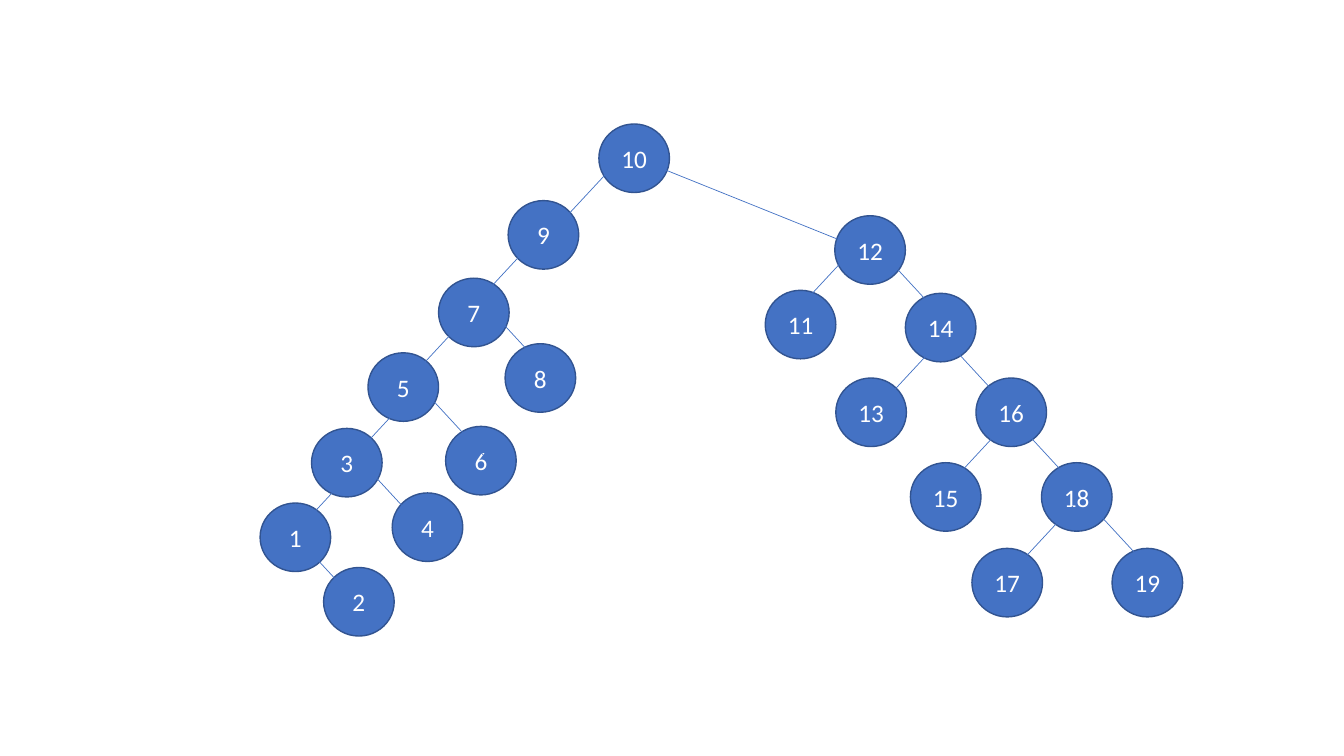
from pptx import Presentation
from pptx.dml.color import RGBColor as RGB
from pptx.enum.shapes import MSO_CONNECTOR as LINK, MSO_SHAPE as SHAPE
from pptx.enum.text import MSO_ANCHOR as ANCHOR, PP_ALIGN as ALIGN
from pptx.util import Inches, Pt
from lxml.etree import SubElement
from pptx.oxml.ns import qn

COLORS = {"node": "4472C4", "rim": "325491", "text": "FFFFFF"}
FONT = {"name": "Calibri", "size": Pt(18)}
FRAME = {"word_wrap": True, "vertical_anchor": ANCHOR.MIDDLE}
WIDE, HIGH = 0.7, 0.68
LEFT, RIGHT = (-0.52, 0.56), (0.48, 0.52)

NODES = {
    1: (2.58, 4.99), 2: (3.21, 5.63), 3: (3.09, 4.25), 4: (3.89, 4.89),
    5: (3.65, 3.5), 6: (4.42, 4.23), 7: (4.35, 2.76), 8: (5.01, 3.41),
    9: (5.04, 1.99), 10: (5.94, 1.23), 11: (7.59, 2.88), 12: (8.28, 2.14),
    13: (8.29, 3.75), 14: (8.98, 2.91), 15: (9.03, 4.59), 16: (9.68, 3.75),
    17: (9.64, 5.44), 18: (10.33, 4.59), 19: (11.03, 5.44),
}
EDGES = {
    LEFT: [(6.08, 1.65), (5.34, 2.34), (4.57, 3.21), (4.01, 3.99), (3.48, 4.69),
           (8.41, 2.53), (9.25, 3.46), (9.94, 4.24), (10.64, 5.02)],
    RIGHT: [(4.96, 3.18), (4.31, 3.99), (3.64, 4.64), (2.98, 5.37),
            (8.79, 2.55), (9.49, 3.49), (10.14, 4.25), (10.9, 5.1)],
    (1.74, 0.7): [(6.56, 1.67)],
}


def apply(item, values):
    for key, value in values.items():
        setattr(item, key, value)


def paint(line, color, width):
    line.color.rgb = RGB.from_string(COLORS[color])
    line.width = Pt(width)


def add_node(slide, key, x, y):
    node = slide.shapes.add_shape(
        SHAPE.OVAL, Inches(x), Inches(y), Inches(WIDE), Inches(HIGH))
    node.shadow.inherit = False
    node.fill.solid()
    node.fill.fore_color.rgb = RGB.from_string(COLORS["node"])
    paint(node.line, "rim", 1)
    apply(node.text_frame, FRAME)
    para = node.text_frame.paragraphs[0]
    para.alignment = ALIGN.CENTER
    run = para.add_run()
    run.text = str(key)
    apply(run.font, FONT)
    run.font.color.rgb = RGB.from_string(COLORS["text"])


def add_edge(slide, x, y, dx, dy):
    edge = slide.shapes.add_connector(
        LINK.STRAIGHT, Inches(x), Inches(y), Inches(x + dx), Inches(y + dy))
    paint(edge.line, "node", 0.5)
    SubElement(edge._element.spPr, qn("a:effectLst"))


def main():
    deck = Presentation()
    apply(deck, {"slide_width": Inches(13.33), "slide_height": Inches(7.5)})
    slide = deck.slides.add_slide(deck.slide_layouts[6])
    for key, spot in NODES.items():
        add_node(slide, key, *spot)
    for step, starts in EDGES.items():
        for start in starts:
            add_edge(slide, *start, *step)
    deck.save("out.pptx")


if __name__ == "__main__":
    main()
